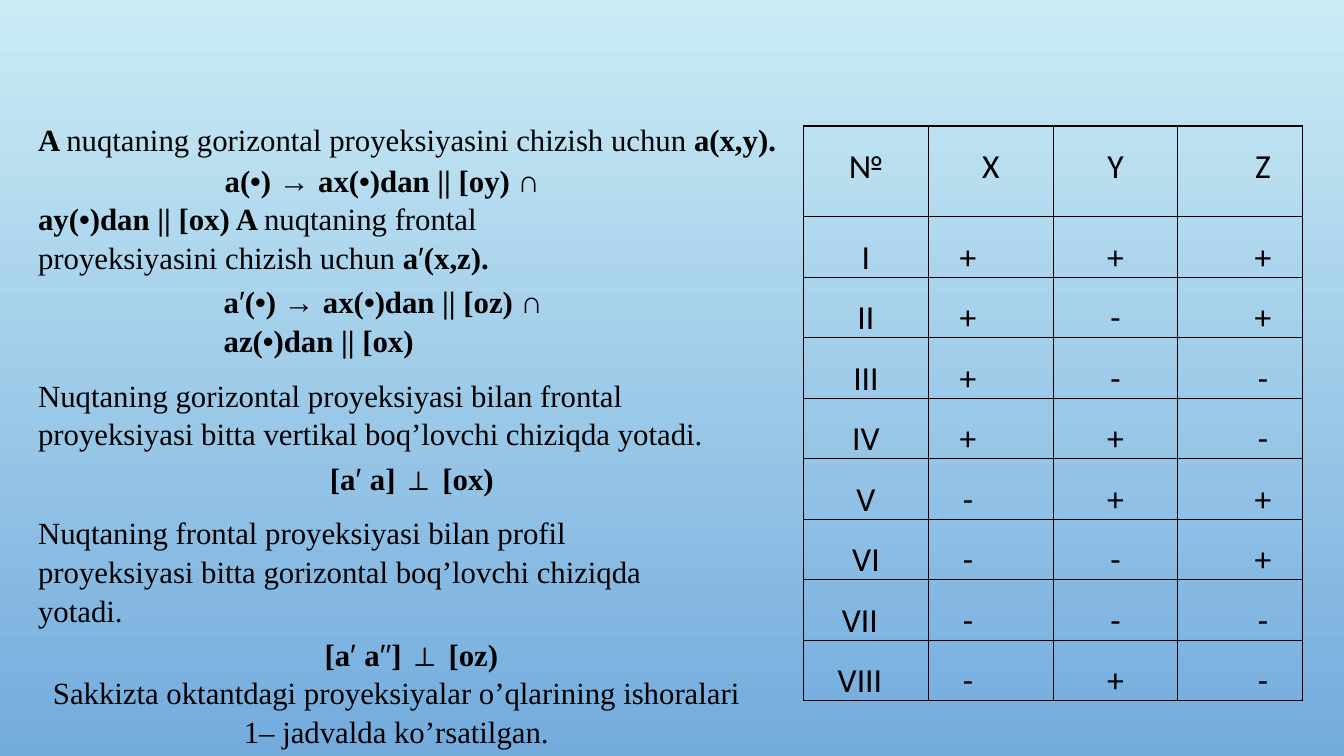
import itertools
from dataclasses import dataclass

import pptx
import pptx.dml.color
import pptx.enum.text
import pptx.oxml
import pptx.oxml.ns
import pptx.util
from pptx.util import Inches

CENTER = pptx.enum.text.PP_ALIGN.CENTER
LEFT = pptx.enum.text.PP_ALIGN.LEFT
SIGNS = "•→∩′⊥"


@dataclass
class Theme:
    ink: str = "000000"
    top: str = "CBECF5"
    base: str = "73ABDD"
    serif: str = "Times New Roman"
    sans: str = "Calibri"
    sign: str = "Arial"
    text: int = 22
    cell: int = 24
    line: int = 1


@dataclass
class Para:
    runs: list
    left: float
    right: float
    space: float
    first: float = 0
    align: int = LEFT


class Deck:
    def __init__(self, theme):
        self.theme = theme
        self.show = pptx.Presentation()
        self.show.slide_width = Inches(13.33)
        self.show.slide_height = Inches(7.5)
        self.slide = self.show.slides.add_slide(self.show.slide_layouts[6])

    def color(self, code):
        return pptx.dml.color.RGBColor.from_string(code)

    def ground(self):
        fill = self.slide.background.fill
        fill.gradient()
        fill.gradient_angle = 270
        for stop, code in zip(fill.gradient_stops, (self.theme.top, self.theme.base)):
            stop.color.rgb = self.color(code)

    def run(self, para, text, face, size, bold=False):
        run = para.add_run()
        run.text = text
        run.font.name = face
        run.font.size = pptx.util.Pt(size)
        run.font.bold = bold
        run.font.color.rgb = self.color(self.theme.ink)

    def indent(self, para, left=0, right=0, first=0):
        props = para._p.get_or_add_pPr()
        for name, size in (("marL", left), ("marR", right), ("indent", first)):
            props.set(name, str(Inches(size)))

    def mixed(self, para, text, bold):
        theme = self.theme
        marks = [
            char in SIGNS or (char == " " and last in SIGNS)
            for last, char in zip(" " + text, text)
        ]
        for mark, group in itertools.groupby(zip(marks, text), lambda pair: pair[0]):
            part = "".join(char for _, char in group)
            face = theme.sign if mark else theme.serif
            self.run(para, part, face, theme.text, bold and not mark)

    def prose(self, items, left, top, width, height):
        box = self.slide.shapes.add_textbox(*map(Inches, (left, top, width, height)))
        frame = box.text_frame
        frame.word_wrap = True
        for index, item in enumerate(items):
            para = frame.add_paragraph() if index else frame.paragraphs[0]
            para.alignment = item.align
            para.space_before = pptx.util.Pt(item.space)
            para.line_spacing = 1.05
            self.indent(para, item.left, item.right, item.first)
            for text, bold in item.runs:
                self.mixed(para, text, bold)

    def border(self, cell):
        props = cell._tc.get_or_add_tcPr()
        space = pptx.oxml.ns.nsdecls("a")
        width = pptx.util.Pt(self.theme.line)
        for side in "LRTB":
            props.append(pptx.oxml.parse_xml(
                f'<a:ln{side} {space} w="{width}"><a:solidFill>'
                f'<a:srgbClr val="{self.theme.ink}"/></a:solidFill></a:ln{side}>'
            ))

    def cell(self, cell, text, left, right):
        cell.margin_left = cell.margin_right = 0
        cell.margin_top = cell.margin_bottom = 0
        self.border(cell)
        cell.fill.background()
        para = cell.text_frame.paragraphs[0]
        para.alignment = CENTER
        para.line_spacing = 1.5
        self.indent(para, left, right)
        self.run(para, text, self.theme.sans, self.theme.cell)

    def table(self, rows, shifts, left, top, width, heights):
        grid = self.slide.shapes.add_table(
            len(rows), len(rows[0]),
            *map(Inches, (left, top, width, sum(heights))),
        ).table
        grid.first_row = False
        grid.horz_banding = False
        for row, height in zip(grid.rows, heights):
            row.height = Inches(height)
        for down, row in enumerate(rows):
            for across, text in enumerate(row):
                shift = shifts(down, across)
                self.cell(grid.cell(down, across), text, max(shift, 0), max(-shift, 0))


PROSE = [
    Para([("A ", True), ("nuqtaning gorizontal proyeksiyasini chizish uchun ", False),
          ("a(x,y).", True)], 0.28, 0, 9),
    Para([("a(•) → ax(•)dan || [oy) ∩ ay(•)dan || [ox) A ", True),
          ("nuqtaning frontal proyeksiyasini chizish uchun ", False),
          ("a′(x,z).", True)], 0.28, 1.92, 1.4, 1.85),
    Para([("a′(•) → ax(•)dan || [oz) ∩ az(•)dan || [ox)", True)], 2.12, 1.92, 3.6),
    Para([("Nuqtaning gorizontal proyeksiyasi bilan frontal proyeksiyasi "
           "bitta vertikal boq’lovchi chiziqda yotadi.", False)], 0.28, 0.53, 11.4),
    Para([("[a′ a] ⊥ [ox)", True)], 0.86, 0.66, 3.9, align=CENTER),
    Para([("Nuqtaning frontal proyeksiyasi bilan profil proyeksiyasi "
           "bitta gorizontal boq’lovchi chiziqda yotadi.", False)], 0.28, 1.02, 11.5),
    Para([("[a′ a′′] ⊥ [oz)", True)], 0.85, 0.66, 3.4, align=CENTER),
    Para([("Sakkizta oktantdagi proyeksiyalar o’qlarining ishoralari "
           "1– jadvalda ko’rsatilgan.", False)], 0.27, 0.38, 0.1, align=CENTER),
]

OCTANTS = {
    "I": "+++", "II": "+-+", "III": "+--", "IV": "++-",
    "V": "-++", "VI": "--+", "VII": "---", "VIII": "-+-",
}


def shift(down, across):
    if across == 0:
        return -0.12 if down > 6 else 0
    if across == 1:
        return -0.45 if down else 0
    return 0.45 if across == 3 else 0


def main():
    deck = Deck(Theme())
    deck.ground()
    deck.prose(PROSE, 0, 1.13, 7.97, 5.41)
    rows = [["№", *"XYZ"]] + [[name, *signs] for name, signs in OCTANTS.items()]
    deck.table(rows, shift, 7.97, 1.25, 4.95, [0.9] + [0.5] * len(OCTANTS))
    deck.show.save("out.pptx")


if __name__ == "__main__":
    main()
